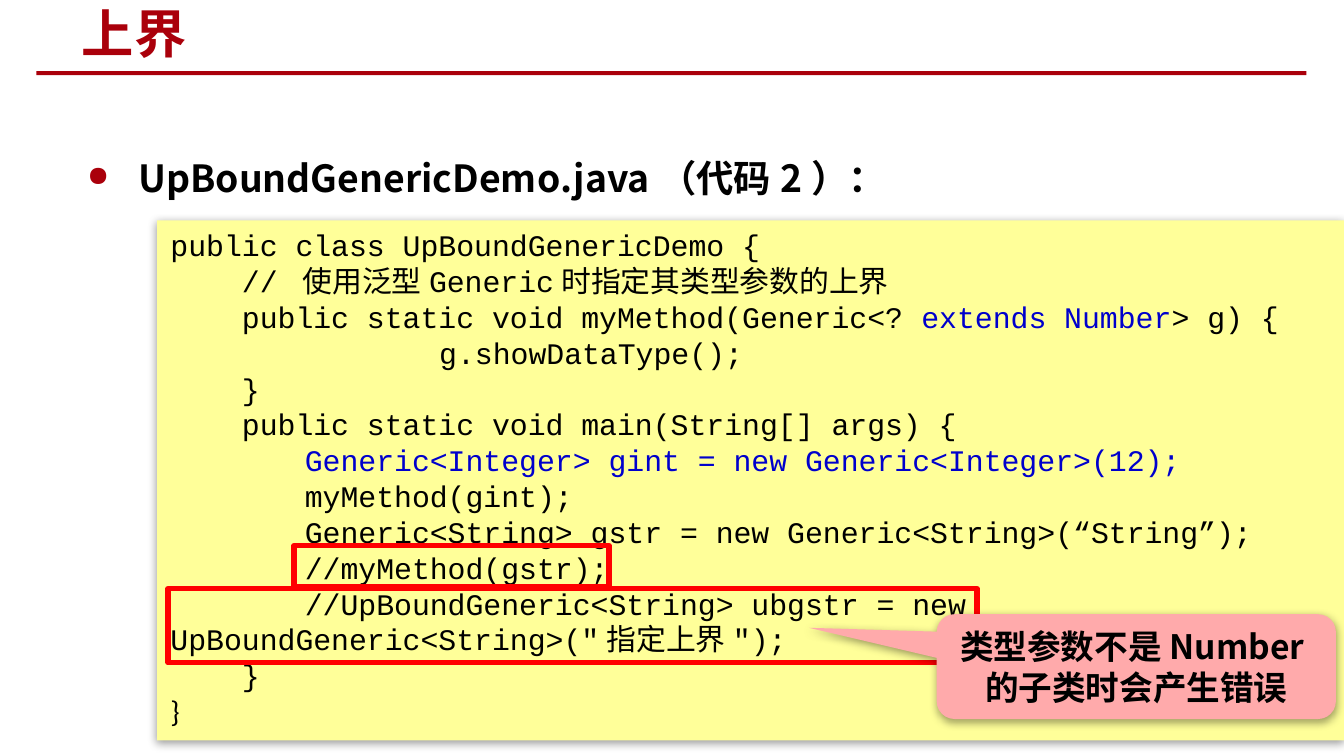
from pptx import Presentation
from pptx.dml.color import RGBColor
from pptx.enum.shapes import MSO_SHAPE
from pptx.enum.text import MSO_ANCHOR, PP_ALIGN
from pptx.oxml import parse_xml
from pptx.oxml.ns import nsdecls, qn
from pptx.util import Inches, Pt

RED, BLACK, BLUE = "AA000B", "000000", "0000CC"
SANS = "Noto Sans CJK SC"

TITLE = "上界"
BULLET = "UpBoundGenericDemo.java（代码2）："
WARNING = "类型参数不是Number的子类时会产生错误"
# Each line is a list of (text, colour) spans.
CODE = [
    [("public class UpBoundGenericDemo {", BLACK)],
    [("    // 使用泛型Generic时指定其类型参数的上界", BLACK)],
    [("    public static void myMethod(Generic<? ", BLACK),
     ("extends Number", BLUE), ("> g) {", BLACK)],
    [("\t\tg.showDataType();", BLACK)],
    [("    }", BLACK)],
    [("    public static void main(String[] args) {", BLACK)],
    [("\t", BLACK), ("Generic<Integer> gint = new Generic<Integer>(12);", BLUE)],
    [("\tmyMethod(gint);", BLACK)],
    [("\tGeneric<String> gstr = new Generic<String>(“String”);", BLACK)],
    [("\t//myMethod(gstr);", BLACK)],
    [("\t//UpBoundGeneric<String> ubgstr = new UpBoundGeneric<String>(\"指定上界\");", BLACK)],
    [("    }", BLACK)],
    [("}", BLACK)],
]
HIGHLIGHTS = [(2.19, 4.06, 2.34, 0.31), (1.25, 4.38, 6.02, 0.55)]


def colour(value):
    return RGBColor.from_string(value)


def add_span(para, text, value, **formats):
    span = para.add_run()
    span.text = text
    span.font.color.rgb = colour(value)
    for name, setting in formats.items():
        setattr(span.font, name, setting)
    if formats["name"] == SANS:
        span.font._element.find(qn("a:latin")).addnext(
            parse_xml(f'<a:ea {nsdecls("a")} typeface="{SANS}"/>'))


def add_box(page, kind, at, fill=None, line=None):
    box = page.shapes.add_shape(kind, *map(Inches, at))
    box.shadow.inherit = False
    if fill:
        box.fill.solid()
        box.fill.fore_color.rgb = colour(fill)
    else:
        box.fill.background()
    if line:
        box.line.color.rgb = colour(line)
        box.line.width = Pt(3)
    else:
        box.line.fill.background()
    return box


def add_shadow(box):
    effects = box._element.spPr.find(qn("a:effectLst"))
    effects.append(parse_xml(
        f'<a:outerShdw {nsdecls("a")} blurRad="{Pt(5)}" dist="{Pt(1.6)}" dir="5400000" '
        'rotWithShape="0"><a:srgbClr val="000000"><a:alpha val="38000"/>'
        '</a:srgbClr></a:outerShdw>'))


def add_bullet(para):
    properties = para._p.get_or_add_pPr()
    properties.set("marL", str(Inches(0.38)))
    properties.set("indent", str(Inches(-0.38)))
    for xml in (f'<a:buClr {nsdecls("a")}><a:srgbClr val="{RED}"/></a:buClr>',
                f'<a:buSzPct {nsdecls("a")} val="75000"/>',
                f'<a:buChar {nsdecls("a")} char="●"/>'):
        properties.append(parse_xml(xml))


def main():
    deck = Presentation()
    deck.slide_width = Inches(10)
    deck.slide_height = deck.slide_width * 9 // 16
    page = deck.slides.add_slide(deck.slide_layouts[5])

    add_box(page, MSO_SHAPE.RECTANGLE, (0.27, 0.53, 9.45, 0.03), RED)

    title = page.shapes.title
    title.left, title.top, title.width, title.height = map(Inches, (0.51, 0.02, 5.3, 0.45))
    title.text_frame.vertical_anchor = MSO_ANCHOR.MIDDLE
    para = title.text_frame.paragraphs[0]
    para.alignment = PP_ALIGN.LEFT
    add_span(para, TITLE, RED, name=SANS, size=Pt(28), bold=True)

    body = page.shapes.add_textbox(*map(Inches, (0.55, 0.94, 8.98, 2.58)))
    body.text_frame.word_wrap = True
    para = body.text_frame.paragraphs[0]
    para.line_spacing = 1.5
    add_bullet(para)
    add_span(para, BULLET, BLACK, name=SANS, size=Pt(20), bold=True)

    code = add_box(page, MSO_SHAPE.RECTANGLE, (1.17, 1.64, 8.83, 3.87), "FFFF99")
    add_shadow(code)
    frame = code.text_frame
    frame.word_wrap = True
    frame.vertical_anchor = MSO_ANCHOR.TOP
    for index, spans in enumerate(CODE):
        para = frame.add_paragraph() if index else frame.paragraphs[0]
        para.alignment = PP_ALIGN.LEFT
        para._p.get_or_add_pPr().set("defTabSz", str(Inches(1)))
        font = "Calibri" if index == len(CODE) - 1 else "Courier New"
        for text, value in spans:
            add_span(para, text, value, name=font, size=Pt(16))

    for at in HIGHLIGHTS:
        add_box(page, MSO_SHAPE.RECTANGLE, at, line="FF0000")

    callout = add_box(page, MSO_SHAPE.ROUNDED_RECTANGULAR_CALLOUT,
                      (6.97, 4.57, 2.97, 0.78), "FFAAAB")
    add_shadow(callout)
    for index, value in enumerate((-0.82, -0.37, 0.17)):
        callout.adjustments[index] = value
    callout.text_frame.word_wrap = True
    callout.text_frame.vertical_anchor = MSO_ANCHOR.MIDDLE
    para = callout.text_frame.paragraphs[0]
    para.alignment = PP_ALIGN.CENTER
    add_span(para, WARNING, BLACK, name=SANS, size=Pt(18), bold=True)

    deck.save("out.pptx")


if __name__ == "__main__":
    main()
